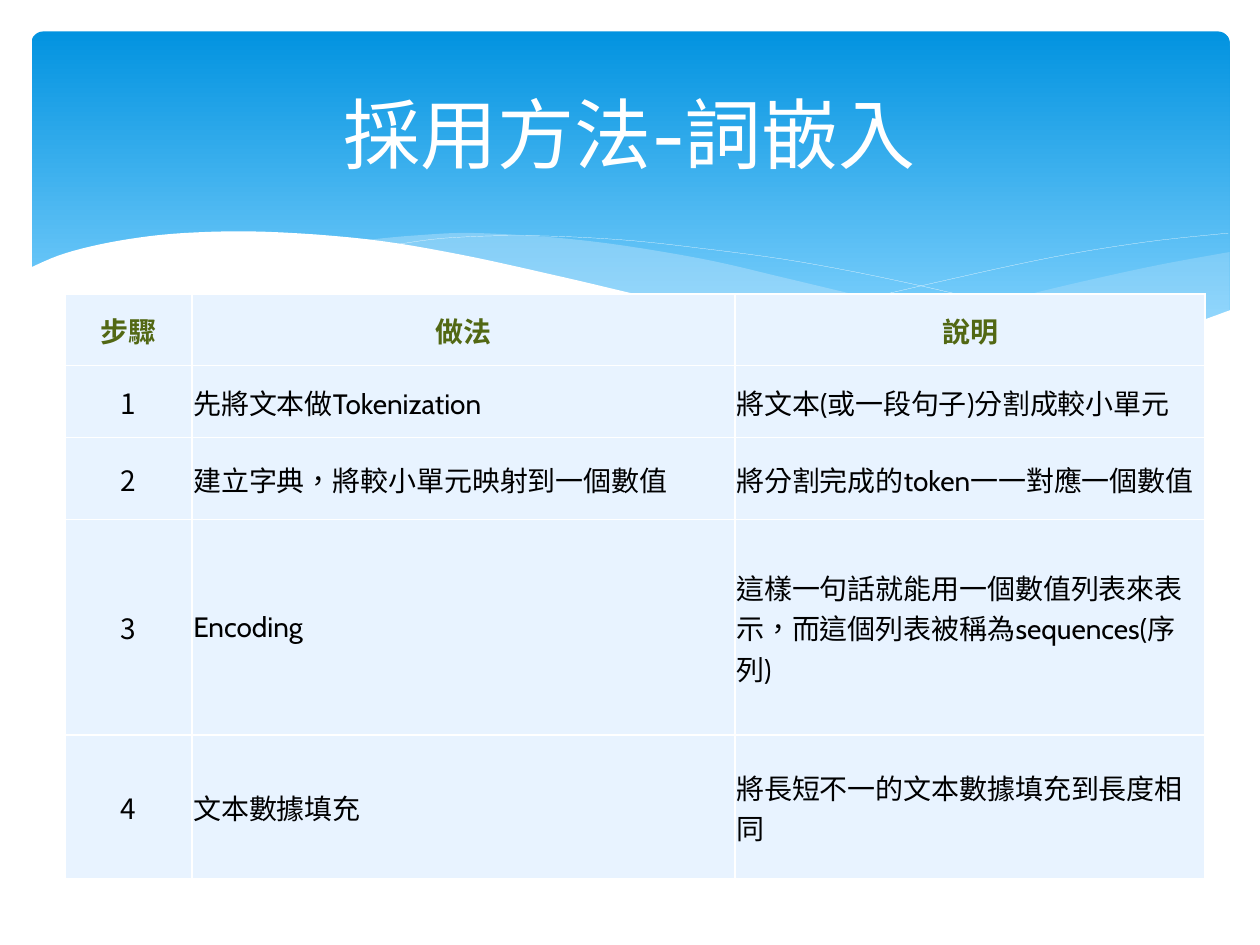
from dataclasses import dataclass
from typing import Optional

from lxml.etree import SubElement
from pptx import Presentation
from pptx.dml.color import RGBColor
from pptx.enum.lang import MSO_LANGUAGE_ID
from pptx.enum.shapes import MSO_SHAPE
from pptx.enum.text import MSO_ANCHOR, PP_ALIGN
from pptx.oxml.ns import qn
from pptx.util import Emu, Inches, Pt

COLUMNS = 100  # square grid cells across the slide; 75 rows down
Point = tuple[float, float]


@dataclass(frozen=True)
class Theme:
    white: str = "FFFFFF"
    sky_top: str = "0293E0"
    sky_bottom: str = "83D3FE"
    wave: str = "C6E7FC"
    cell: str = "E8F3FF"
    header: str = "526814"
    body: str = "000000"
    font: str = "Cabin"
    cjk_font: str = "Noto Sans CJK SC"
    title_size: int = 44
    table_size: int = 16
    hairline: float = 0.1


@dataclass(frozen=True)
class Wave:
    """Smooth edges through knots; edges are joined by straight lines."""
    edges: tuple[tuple[Point, ...], ...]
    fill: Optional[str] = None
    opacity: int = 100


T = Theme()

WAVES = (
    Wave((((97.6, 20), (92.1, 21), (86.1, 22.3), (77.9, 24.2), (66.1, 26.5)),
          ((66.1, 26.5), (73.2, 27.4), (80.3, 27.8), (87.2, 27.4),
           (92.8, 26.3), (97.6, 24.7))), T.wave, 29),
    Wave((((89.3, 27.3), (80.7, 26), (70.6, 24), (62.9, 22.2), (55.5, 20.5),
           (46.5, 19.1), (38, 18.5), (32.8, 18.7), (28.6, 19.1)),
          ((28.6, 19.1), (36.2, 20.3), (44.9, 22.2), (53, 24), (61.8, 25.8),
           (69.5, 27), (77.3, 27.7), (83.8, 27.8), (89.3, 27.3))), T.wave, 40),
    Wave((((30.9, 19.5), (35.3, 18.9), (41.6, 18.7), (48.9, 19), (55.6, 19.7),
           (63.6, 20.8), (72.7, 22.6), (83.1, 25.1), (90.7, 27.2)),)),
    Wave((((61.3, 25.7), (67.2, 24.1), (74.8, 22.3), (83.6, 20.4),
           (91, 19.2), (97.5, 18.5)),)),
    Wave((((97.7, 24.6), (93, 26.2), (87.5, 27.3), (80.9, 27.7), (72.6, 27.2),
           (62.6, 25.8), (52.9, 23.9), (44.7, 22), (36.5, 20.2), (29.2, 19),
           (21.1, 18.4), (14.6, 18.5), (9.5, 19.1), (5.2, 20.1), (2.3, 21.3)),
          ((2.3, 32.9), (97.7, 32.9))), T.white),
)

COLUMN_CELLS = (10.1, 43.1, 37.3)
ROW_CELLS = (5.7, 5.7, 6.5, 17.1, 11.4)
TABLE_BOX = (5.14, 23.33, sum(COLUMN_CELLS), sum(ROW_CELLS))
STEPS = (
    ("步驟", "做法", "說明"),
    ("1", "先將文本做Tokenization", "將文本(或一段句子)分割成較小單元"),
    ("2", "建立字典，將較小單元映射到一個數值", "將分割完成的token一一對應一個數值"),
    ("3", "Encoding", "這樣一句話就能用一個數值列表來表示，而這個列表被稱為sequences(序列)"),
    ("4", "文本數據填充", "將長短不一的文本數據填充到長度相同"),
)


def rgb(color: str) -> RGBColor:
    return RGBColor.from_string(color)


def grid(cells: float) -> Emu:
    return Emu(round(cells * Inches(10) / COLUMNS))


def smooth(knots: tuple[Point, ...], steps: int = 6) -> list[Point]:
    """Catmull-Rom curve through the knots, as a polyline."""
    if len(knots) < 3:
        return list(knots)
    ends = (knots[0], *knots, knots[-1])
    curve = []
    for a, b, c, d in zip(ends, ends[1:], ends[2:], ends[3:]):
        for t in (i / steps for i in range(steps)):
            curve.append(tuple(
                q + t * (r - p) / 2 + t * t * (p - 2.5 * q + 2 * r - s / 2)
                + t ** 3 * (3 * q - 3 * r + s - p) / 2
                for p, q, r, s in zip(a, b, c, d)))
    return [*curve, knots[-1]]


def draw_sky(shapes) -> None:
    sp = shapes.add_shape(MSO_SHAPE.ROUNDED_RECTANGLE,
                          *map(grid, (2.5, 2.5, 95.1, 27)))
    sp.adjustments[0] = 0.034
    sp.shadow.inherit = False
    sp.line.fill.background()
    sp.fill.gradient()
    sp.fill.gradient_angle = 270
    stops = ((0, T.sky_top), (0.9, T.sky_bottom))
    for stop, (position, color) in zip(sp.fill.gradient_stops, stops):
        stop.position = position
        stop.color.rgb = rgb(color)


def draw_wave(shapes, wave: Wave) -> None:
    points = [(grid(x), grid(y)) for edge in wave.edges for x, y in smooth(edge)]
    builder = shapes.build_freeform(*points[0])
    builder.add_line_segments(points[1:], close=wave.fill is not None)
    sp = builder.convert_to_shape()
    sp.shadow.inherit = False
    if wave.fill is None:
        sp.fill.background()
        sp.line.color.rgb = rgb(T.white)
        sp.line.width = Pt(T.hairline)
        return
    sp.line.fill.background()
    sp.fill.solid()
    sp.fill.fore_color.rgb = rgb(wave.fill)
    if wave.opacity < 100:
        color = sp.fill._xPr.find(f".//{qn('a:srgbClr')}")
        SubElement(color, qn("a:alpha"), val=str(wave.opacity * 1000))


def write(tf, text: str, size: int, color: str, font: str = T.font,
          bold: bool = False, align: PP_ALIGN = PP_ALIGN.CENTER) -> None:
    p = tf.paragraphs[0]
    p.alignment = align
    r = p.add_run()
    r.text = text
    style = {"size": Pt(size), "name": font, "bold": bold,
             "language_id": MSO_LANGUAGE_ID.TRADITIONAL_CHINESE}
    for name, value in style.items():
        setattr(r.font, name, value)
    r.font.color.rgb = rgb(color)
    SubElement(r.font._element, qn("a:ea"), typeface=T.cjk_font)


def draw_title(shapes, text: str) -> None:
    tf = shapes.add_textbox(*map(grid, (5, 3.7, 90, 13.7))).text_frame
    tf.word_wrap = True
    tf.vertical_anchor = MSO_ANCHOR.MIDDLE
    write(tf, text, T.title_size, T.white)


def format_cell(cell) -> None:
    tc_pr = cell._tc.get_or_add_tcPr()
    for side in ("lnL", "lnR", "lnT", "lnB"):
        ln = SubElement(tc_pr, qn(f"a:{side}"), w=str(Pt(1)))
        SubElement(SubElement(ln, qn("a:solidFill")), qn("a:srgbClr"), val=T.white)
    cell.fill.solid()
    cell.fill.fore_color.rgb = rgb(T.cell)
    layout = {"vertical_anchor": MSO_ANCHOR.MIDDLE, "margin_left": Inches(0.01),
              "margin_right": Inches(0.01), "margin_top": Inches(0.01),
              "margin_bottom": 0}
    for name, value in layout.items():
        setattr(cell, name, value)


def draw_steps(shapes) -> None:
    table = shapes.add_table(len(STEPS), len(COLUMN_CELLS),
                             *map(grid, TABLE_BOX)).table
    for column, width in zip(table.columns, COLUMN_CELLS):
        column.width = grid(width)
    for row, height in zip(table.rows, ROW_CELLS):
        row.height = grid(height)
    for i, step in enumerate(STEPS):
        for j, text in enumerate(step):
            cell = table.cell(i, j)
            format_cell(cell)
            header, number = i == 0, i > 0 and j == 0
            write(cell.text_frame, text, T.table_size,
                  T.header if header else T.body,
                  T.cjk_font if number else T.font, header,
                  PP_ALIGN.CENTER if header or number else PP_ALIGN.LEFT)


def main() -> None:
    prs = Presentation()
    prs.slide_width, prs.slide_height = Inches(10), Inches(7.5)
    s = prs.slides.add_slide(prs.slide_layouts[6])
    draw_sky(s.shapes)
    for wave in WAVES:
        draw_wave(s.shapes, wave)
    draw_title(s.shapes, "採用方法-詞嵌入")
    draw_steps(s.shapes)
    prs.save("out.pptx")


if __name__ == "__main__":
    main()
